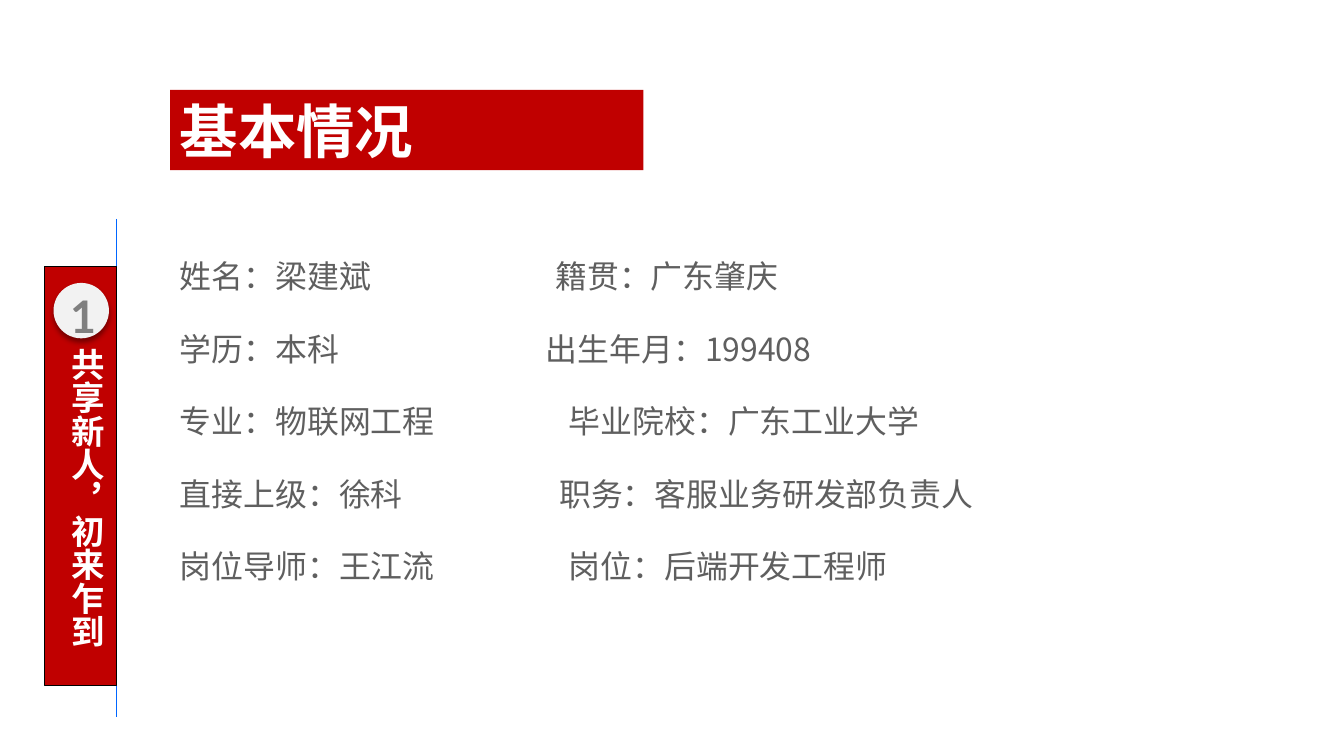
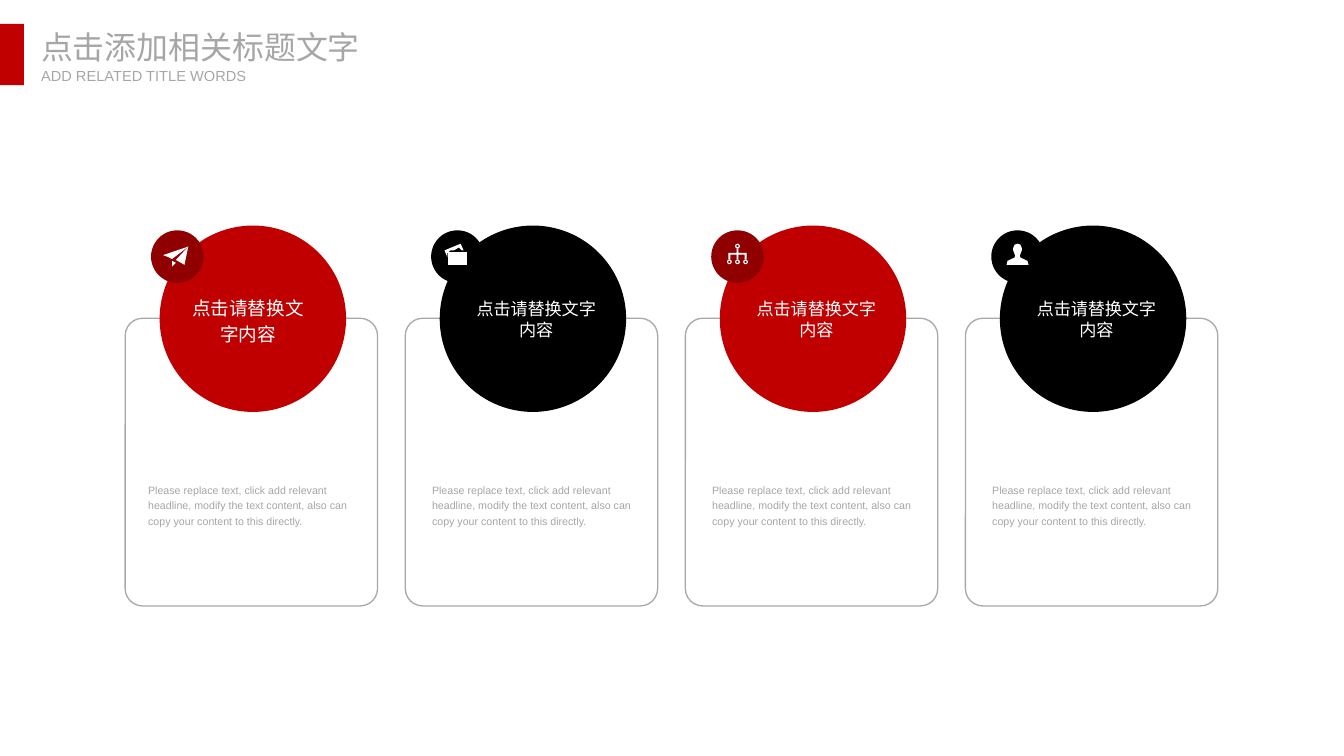
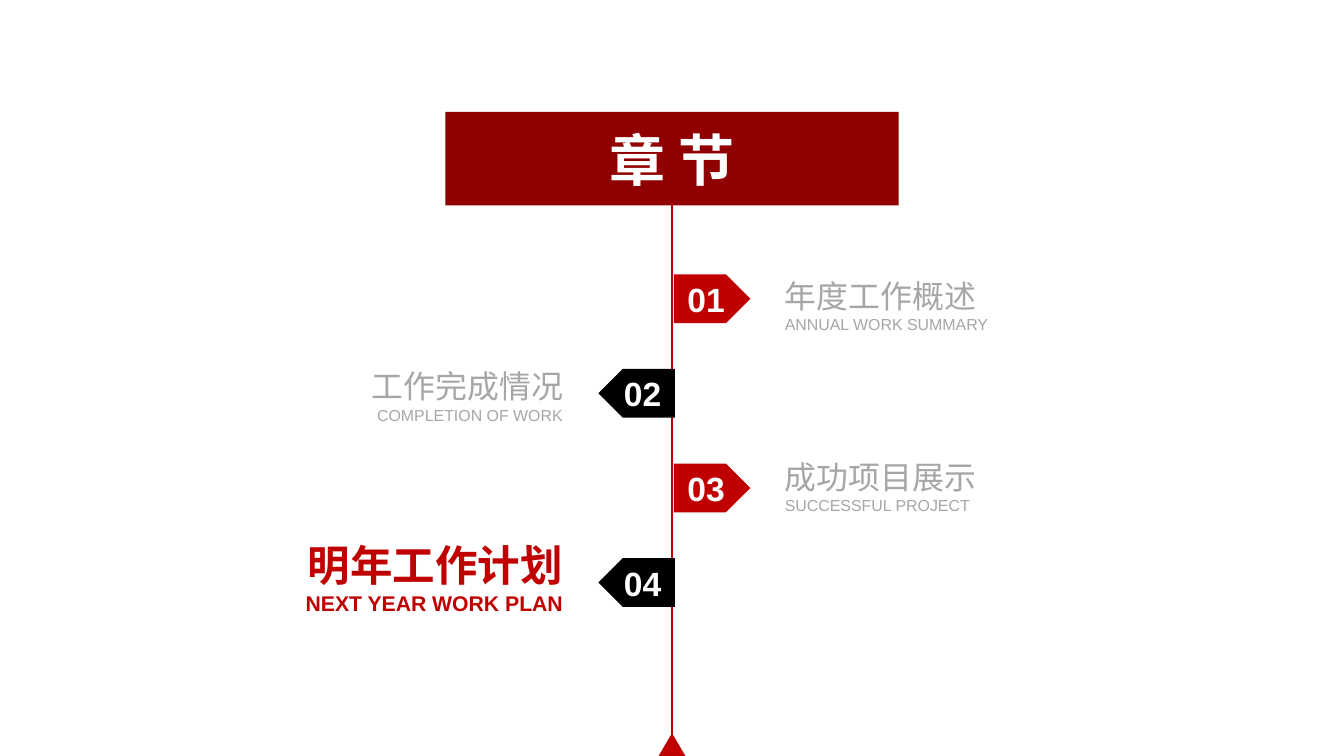
import dataclasses

import lxml.etree
import pptx
import pptx.dml.color
import pptx.enum.shapes
import pptx.enum.text
import pptx.oxml.ns
import pptx.util

Inches = pptx.util.Inches
Pt = pptx.util.Pt
Shape = pptx.enum.shapes.MSO_SHAPE
Align = pptx.enum.text.PP_ALIGN
Anchor = pptx.enum.text.MSO_ANCHOR
qn = pptx.oxml.ns.qn


@dataclasses.dataclass(frozen=True)
class Theme:
    width: float = 14.06
    height: float = 7.91
    red: str = "C00000"
    dark_red: str = "900000"
    black: str = "000000"
    white: str = "FFFFFF"
    light: str = "F2F2F2"
    blue: str = "0066FF"
    ink: str = "5F5F5F"
    number_gray: str = "7F7F7F"
    gray: str = "A6A6A6"
    outline: str = "A6AAA9"
    latin: str = "Arial"
    chinese: str = "Noto Sans CJK SC"
    number: str = "Lato"
    banner_size: float = 44
    chapter_size: float = 42.2
    badge_size: float = 33.8
    ribbon_size: float = 25.3
    side_size: float = 25.2
    heading_size: float = 24
    subheading_size: float = 11
    body_size: float = 8


THEME = Theme()

# Each row: left text, right text, indent of the right text
PROFILE_TITLE = "基本情况"
PROFILE_SECTION = ("1", "共享新人，初来乍到")
PROFILE_ROWS = [
    ("姓名：梁建斌", "籍贯：广东肇庆", 0.1),
    ("学历：本科", "出生年月：199408", 0),
    ("专业：物联网工程", "毕业院校：广东工业大学", 0.24),
    ("直接上级：徐科", "职务：客服业务研发部负责人", 0.14),
    ("岗位导师：王江流", "岗位：后端开发工程师", 0.24),
]

CARDS_TITLE = "点击添加相关标题文字"
CARDS_SUBTITLE = "ADD RELATED TITLE WORDS"
CARD_LABEL = "点击请替换文字内容"
CARD_BODY = ("Please replace text, click add relevant headline, modify the text "
             "content, also can copy your content to this directly.")
# Label: left in card, width, size, line pitch; body: left in card
FIRST_CARD = (0.63, 1.31, 14, 19.6, 0.24)
OTHER_CARD = (0.67, 1.4, 12.9, 15.8, 0.28)
CARDS = [
    ("plane", THEME.red, THEME.dark_red, FIRST_CARD),
    ("photos", THEME.black, THEME.black, OTHER_CARD),
    ("tree", THEME.red, THEME.dark_red, OTHER_CARD),
    ("person", THEME.black, THEME.black, OTHER_CARD),
]

# Icon outlines in hundredths of an inch around the badge centre
PERSON_SIDE = [(0, -13.5), (3, -12.5), (4.5, -9), (4.5, -6.5), (3.5, -4), (2.5, -1),
               (3, 1), (6.5, 2.5), (10.5, 4.5), (11.5, 8.5)]
ICON_OUTLINES = {
    "plane": [
        [(-15, -1.5), (11.5, -10.5), (-5.5, 2.5), (-9.5, 0.5)],
        [(11.5, -10.5), (7.5, 8.5), (-1.5, 3.5)],
        [(-5.5, 4.5), (-1.5, 6.5), (-5.5, 10.5)],
    ],
    "photos": [
        [(-13.5, -6.5), (3.5, -13.5), (6.5, -6.5), (4.5, -6.5), (1.5, -9.5),
         (-3.5, -6.5), (-7.5, -6.5), (-10.5, -3.5), (-10.5, 0.5)],
        [(-9.5, -4.5), (9.5, -4.5), (9.5, 8.5), (-9.5, 8.5)],
    ],
    "tree": [
        [(-9.5, 3), (-9.5, -4), (-1, -4), (-1, -8.5), (1, -8.5), (1, -4), (9.5, -4),
         (9.5, 3), (7.5, 3), (7.5, -2), (1, -2), (1, 3), (-1, 3), (-1, -2),
         (-7.5, -2), (-7.5, 3)],
    ],
    "person": [PERSON_SIDE + [(-x, y) for x, y in reversed(PERSON_SIDE)]],
}
ICON_RINGS = {"tree": [(0, -11), (-8.5, 5.5), (0, 5.5), (8.5, 5.5)]}

CHAPTER_TITLE = "章 节"
# Each chapter: Chinese, English, their sizes, colour, bold, caption width and height
CHAPTERS = [
    ("年度工作概述", "ANNUAL WORK SUMMARY", 24, 12, THEME.gray, False, 4.02, 0.61),
    ("工作完成情况", "COMPLETION OF WORK", 24, 12, THEME.gray, False, 3.26, 0.61),
    ("成功项目展示", "SUCCESSFUL PROJECT", 24, 12, THEME.gray, False, 2.7, 0.61),
    ("明年工作计划", "NEXT YEAR WORK PLAN", 32, 16, THEME.red, True, 2.72, 0.81),
]


def rgb(color):
    return pptx.dml.color.RGBColor.from_string(color)


def paint(shape, fill=None, line=None, line_width=0.75):
    if fill:
        shape.fill.solid()
        shape.fill.fore_color.rgb = rgb(fill)
    else:
        shape.fill.background()
    if line:
        shape.line.color.rgb = rgb(line)
        shape.line.width = Pt(line_width)
    else:
        shape.line.fill.background()


def place(shape, box):
    shape.left, shape.top, shape.width, shape.height = map(Inches, box)


def add_shape(slide, kind, box, **style):
    shape = slide.shapes.add_shape(kind, *map(Inches, box))
    shape.shadow.inherit = False
    paint(shape, **style)
    return shape


def add_line(slide, start, end, color, width):
    connector = slide.shapes.add_connector(
        pptx.enum.shapes.MSO_CONNECTOR.STRAIGHT, *map(Inches, start + end))
    connector.line.color.rgb = rgb(color)
    connector.line.width = Pt(width)
    lxml.etree.SubElement(connector._element.spPr, qn("a:effectLst"))


def add_soft_shadow(shape):
    effects = shape._element.spPr.find(qn("a:effectLst"))
    shadow = lxml.etree.SubElement(effects, qn("a:outerShdw"), blurRad=str(Pt(4)),
                                   dist=str(Pt(3)), dir="5400000")
    color = lxml.etree.SubElement(shadow, qn("a:srgbClr"), val=THEME.black)
    lxml.etree.SubElement(color, qn("a:alpha"), val="40000")


def write(shape, lines, color, align=Align.LEFT, anchor=Anchor.MIDDLE, bold=False,
          font=THEME.latin, insets=(0, 0, 0, 0), wrap=True):
    """Fill a shape with lines of (text, size, line spacing, indent)."""
    frame = shape.text_frame
    frame.auto_size = pptx.enum.text.MSO_AUTO_SIZE.NONE
    frame.word_wrap = wrap
    frame.vertical_anchor = anchor
    (frame.margin_left, frame.margin_top,
     frame.margin_right, frame.margin_bottom) = map(Inches, insets)
    for index, (text, size, spacing, indent) in enumerate(lines):
        paragraph = frame.add_paragraph() if index else frame.paragraphs[0]
        properties = paragraph._p.get_or_add_pPr()
        properties.set("marL", str(Inches(indent)))
        properties.set("indent", "0")
        lxml.etree.SubElement(properties, qn("a:buNone"))
        paragraph.alignment = align
        paragraph.space_before = Pt(0)
        paragraph.line_spacing = spacing
        run = paragraph.add_run()
        run.text = text
        run.font.size = Pt(size)
        run.font.bold = bold
        run.font.color.rgb = rgb(color)
        run.font.name = font
        lxml.etree.SubElement(run._r.get_or_add_rPr(), qn("a:ea"), typeface=THEME.chinese)


def add_text(slide, box, lines, color, **style):
    text_box = slide.shapes.add_textbox(*map(Inches, box))
    write(text_box, lines, color, **style)
    return text_box


def add_slide(presentation, layout, title, box, size, color, fill=None, **style):
    """Add a slide whose title placeholder is moved, filled and written."""
    slide = presentation.slides.add_slide(presentation.slide_layouts[layout])
    place(slide.shapes.title, box)
    paint(slide.shapes.title, fill)
    write(slide.shapes.title, [(title, size, 1, 0)], color, **style)
    return slide


def build_profile(presentation):
    slide = add_slide(presentation, 3, PROFILE_TITLE, (1.78, 0.94, 4.95, 0.84),
                      THEME.banner_size, THEME.white, THEME.red, bold=True,
                      font=THEME.chinese, insets=(0.1, 0, 0.1, 0))
    left_texts, right_texts, indents = zip(*PROFILE_ROWS)
    columns = [
        (1.78, 3.83, left_texts, [0] * len(PROFILE_ROWS)),
        (5.61, 5.43, right_texts, indents),
    ]
    for placeholder, (left, width, texts, column_indents) in zip(
            list(slide.placeholders)[1:], columns):
        place(placeholder, (left, 2.25, width, 5.47))
        rows = [(text, THEME.heading_size, Pt(54.6), indent)
                for text, indent in zip(texts, column_indents)]
        write(placeholder, rows, THEME.ink, anchor=Anchor.TOP, font=THEME.chinese,
              insets=(0.1, 0.08, 0, 0))

    number, section = PROFILE_SECTION
    add_line(slide, (1.22, 2.29), (1.22, 7.5), THEME.blue, 1.25)
    add_shape(slide, Shape.RECTANGLE, (0.47, 2.79, 0.75, 4.38),
              fill=THEME.red, line=THEME.black)
    side = add_text(slide, (0.6, 3.54, 0.62, 3.55),
                    [(section, THEME.side_size, 1, 0)], THEME.white, bold=True,
                    align=Align.CENTER, font=THEME.chinese, insets=(0.1, 0.05, 0.1, 0.05))
    side.text_frame._txBody.bodyPr.set("vert", "eaVert")
    badge = add_shape(slide, Shape.OVAL, (0.56, 2.96, 0.58, 0.58), fill=THEME.light)
    add_soft_shadow(badge)
    write(badge, [(number, THEME.badge_size, 1.2, 0)], THEME.number_gray, bold=True,
          align=Align.CENTER, font=THEME.number, insets=(0.04, 0, 0, 0), wrap=False)


def draw_icon(slide, icon, center_x, center_y):
    for outline in ICON_OUTLINES[icon]:
        points = [(Inches(center_x + x / 100), Inches(center_y + y / 100))
                  for x, y in outline]
        builder = slide.shapes.build_freeform(*points[0])
        builder.add_line_segments(points[1:], close=True)
        shape = builder.convert_to_shape()
        shape.shadow.inherit = False
        paint(shape, THEME.white)
    radius = 0.025
    for x, y in ICON_RINGS.get(icon, []):
        box = (center_x + x / 100 - radius, center_y + y / 100 - radius,
               2 * radius, 2 * radius)
        add_shape(slide, Shape.DONUT, box, fill=THEME.white)


def build_cards(presentation):
    slide = add_slide(presentation, 5, CARDS_TITLE, (0.43, 0.29, 6, 0.4),
                      THEME.heading_size, THEME.gray, font=THEME.chinese)
    add_shape(slide, Shape.RECTANGLE, (0, 0.25, 0.25, 0.64), fill=THEME.red)
    add_text(slide, (0.43, 0.7, 6, 0.19),
             [(CARDS_SUBTITLE, THEME.subheading_size, 1, 0)], THEME.gray)

    first_left, pitch, badge = 1.31, 2.93, 0.55
    for index, (icon, circle_color, badge_color, text_layout) in enumerate(CARDS):
        left = first_left + index * pitch
        label_left, label_width, label_size, label_pitch, body_left = text_layout
        frame = add_shape(slide, Shape.ROUNDED_RECTANGLE, (left, 3.33, 2.64, 3.01),
                          line=THEME.outline, line_width=1)
        frame.adjustments[0] = 0.069
        add_shape(slide, Shape.OVAL, (left + 0.36, 2.36, 1.95, 1.95), fill=circle_color)
        badge_left, badge_top = left + 0.27, 2.41
        add_shape(slide, Shape.OVAL, (badge_left, badge_top, badge, badge),
                  fill=badge_color)
        draw_icon(slide, icon, badge_left + badge / 2, badge_top + badge / 2)
        add_text(slide, (left + label_left, 3.11, label_width, 0.45),
                 [(CARD_LABEL, label_size, Pt(label_pitch), 0)], THEME.white,
                 align=Align.CENTER)
        add_text(slide, (left + body_left, 4.62, 2.13, 1.31),
                 [(CARD_BODY, THEME.body_size, Pt(11.7), 0)], THEME.gray)


def build_chapters(presentation):
    axis, title_bottom = THEME.width / 2, 2.15
    slide = add_slide(presentation, 5, CHAPTER_TITLE, (4.66, 1.17, 4.74, 0.98),
                      THEME.chapter_size, THEME.white, THEME.dark_red, bold=True,
                      align=Align.CENTER)
    add_line(slide, (axis, title_bottom), (axis, THEME.height), THEME.red, 2)
    add_shape(slide, Shape.ISOSCELES_TRIANGLE,
              (axis - 0.14, THEME.height - 0.24, 0.28, 0.24), fill=THEME.red)

    ribbon_width = 0.8
    for index, (chinese, english, big, small, color, bold,
                caption_width, caption_height) in enumerate(CHAPTERS):
        on_right = index % 2 == 0
        ribbon_left = axis + 0.02 if on_right else axis + 0.03 - ribbon_width
        ribbon = add_shape(slide, Shape.PENTAGON,
                           (ribbon_left, 2.87 + index * 0.99, ribbon_width, 0.51),
                           fill=THEME.red if on_right else THEME.black)
        if not on_right:
            ribbon._element.spPr.xfrm.set("flipH", "1")
        write(ribbon, [(f"{index + 1:02}", THEME.ribbon_size, 1, 0)], THEME.white,
              bold=True, align=Align.CENTER)
        caption_left = 8.21 if on_right else 5.89 - caption_width
        caption_center = 3.19 + index * 0.95
        add_text(slide, (caption_left, caption_center - caption_height / 2,
                         caption_width, caption_height),
                 [(chinese, big, Pt(big * 1.2), 0),
                  (english, small, Pt(small * 1.2), 0)],
                 color, bold=bold, align=Align.LEFT if on_right else Align.RIGHT)


def main():
    presentation = pptx.Presentation()
    presentation.slide_width = Inches(THEME.width)
    presentation.slide_height = Inches(THEME.height)
    build_profile(presentation)
    build_cards(presentation)
    build_chapters(presentation)
    presentation.save("out.pptx")


if __name__ == "__main__":
    main()
